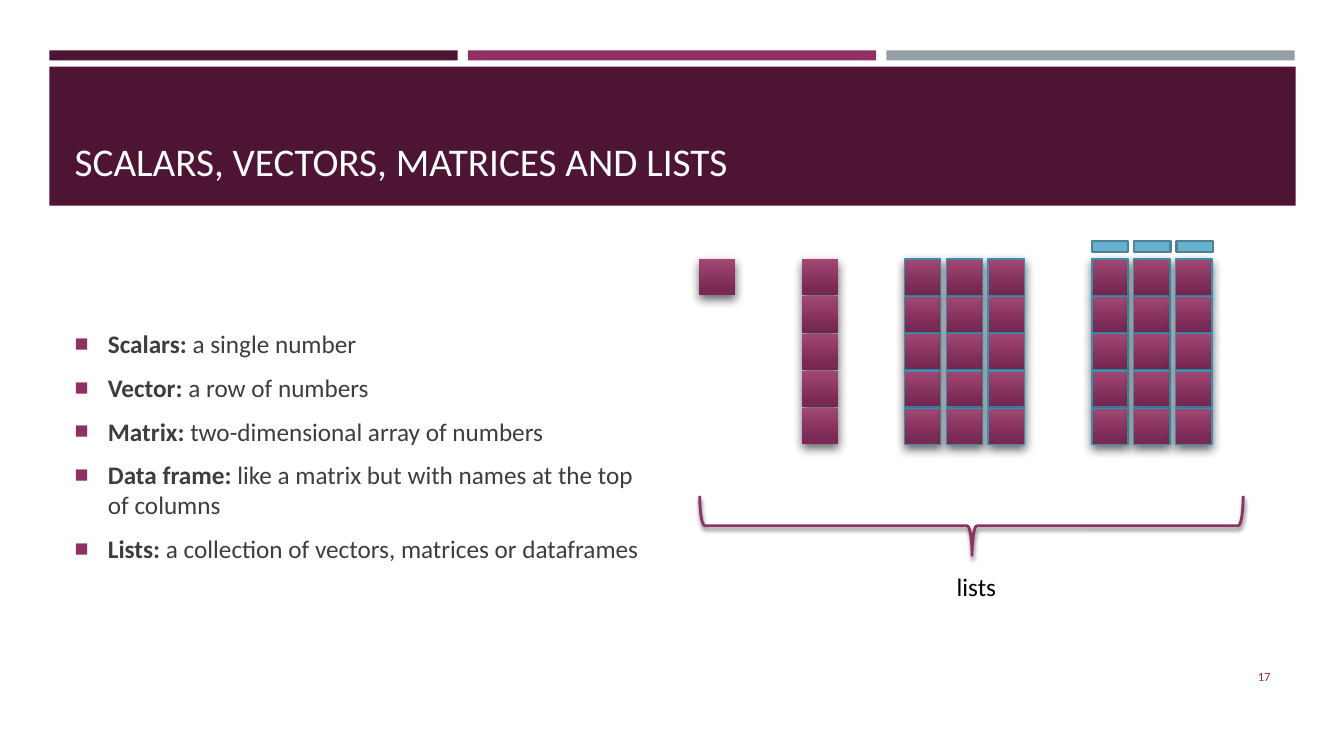
from lxml.etree import SubElement
from pptx import Presentation
from pptx.dml.color import RGBColor
from pptx.enum.shapes import MSO_SHAPE
from pptx.enum.text import MSO_ANCHOR, MSO_AUTO_SIZE, PP_ALIGN
from pptx.oxml.ns import qn
from pptx.util import Inches, Pt

PLUM, ROSE, GREY = "4D1434", "903163", "969FA7"
WHITE, BLACK, INK = "FFFFFF", "000000", "3D3D3D"
SKY, STEEL, TEAL = "66B1CE", "4B8398", "388EAF"
GLOW = ((0, "A24774"), (0.84, "792953"))


def tint(code):
    return RGBColor.from_string(code)


class Sheet:
    """Holds the style and the current slide."""

    font = "Calibri"

    def __init__(self, deck):
        self.slide = deck.slides.add_slide(deck.slide_layouts[1])
        self.shapes = self.slide.shapes

    def place(self, item, left, top, width, height):
        item.left, item.top = Inches(left), Inches(top)
        item.width, item.height = Inches(width), Inches(height)

    def shape(self, kind, box, line=None, weight=1.0):
        item = self.shapes.add_shape(kind, *map(Inches, box))
        item.shadow.inherit = False
        if line:
            item.line.color.rgb = tint(line)
            item.line.width = Pt(weight)
        else:
            item.line.fill.background()
        return item

    def bar(self, box, fill, line=None, weight=1.0):
        item = self.shape(MSO_SHAPE.RECTANGLE, box, line, weight)
        item.fill.solid()
        item.fill.fore_color.rgb = tint(fill)

    def shade(self, item, alpha, blur, dist, angle):
        effects = item.element.spPr.find(qn("a:effectLst"))
        outer = SubElement(effects, qn("a:outerShdw"), blurRad=str(Pt(blur)),
                           dist=str(Pt(dist)), dir=str(angle * 60000),
                           rotWithShape="0")
        color = SubElement(outer, qn("a:srgbClr"), val=BLACK)
        SubElement(color, qn("a:alpha"), val=str(alpha * 1000))

    def cell(self, left, top, line):
        item = self.shape(MSO_SHAPE.RECTANGLE, (left, top, 0.36, 0.36), line)
        item.fill.gradient()
        item.fill.gradient_angle = 270
        for stop, (spot, code) in zip(item.fill.gradient_stops, GLOW):
            stop.position = spot
            stop.color.rgb = tint(code)
        self.shade(item, 60, 7, 3, 84)

    def grid(self, left, cols, rows, line=None):
        for col in range(cols):
            for row in range(rows):
                self.cell(left + 0.415 * col, 2.57 + 0.37 * row, line)

    def brace(self, box):
        item = self.shape(MSO_SHAPE.RIGHT_BRACE, box, ROSE, 2)
        item.rotation = 90
        item.adjustments[0] = 0.083
        item.adjustments[1] = 0.499
        item.fill.background()
        self.shade(item, 55, 3, 2, 90)

    def run(self, para, text, size, color, bold=False):
        run = para.add_run()
        run.text = text
        font = run.font
        font.name, font.size, font.bold = self.font, Pt(size), bold
        font.color.rgb = tint(color)

    def holder(self, item, box, anchor):
        self.place(item, *box)
        self.shapes.element.append(item.element)  # bring to the front
        frame = item.text_frame
        frame.auto_size = MSO_AUTO_SIZE.NONE
        frame.vertical_anchor = anchor
        return frame

    def title(self, text, box):
        frame = self.holder(self.shapes.title, box, MSO_ANCHOR.BOTTOM)
        para = frame.paragraphs[0]
        para.alignment = PP_ALIGN.LEFT
        self.run(para, text, 28, WHITE)

    def bullet(self, para):
        para.space_before, para.space_after = Pt(3.6), Pt(6)
        props = para._p.get_or_add_pPr()
        props.set("marL", str(Inches(0.33)))
        props.set("indent", str(-Inches(0.33)))
        color = SubElement(props, qn("a:buClr"))
        SubElement(color, qn("a:srgbClr"), val=ROSE)
        SubElement(props, qn("a:buSzPct"), val="92000")
        SubElement(props, qn("a:buChar"), char="■")

    def list(self, terms, box):
        body = self.slide.placeholders[1]
        frame = self.holder(body, box, MSO_ANCHOR.MIDDLE)
        for index, (term, sense) in enumerate(terms):
            para = frame.add_paragraph() if index else frame.paragraphs[0]
            self.bullet(para)
            self.run(para, term, 18, INK, True)
            self.run(para, sense, 18, INK)

    def label(self, text, box, size, color, align=PP_ALIGN.LEFT,
              anchor=MSO_ANCHOR.TOP, wrap=True):
        frame = self.shapes.add_textbox(*map(Inches, box)).text_frame
        frame.word_wrap = wrap
        frame.vertical_anchor = anchor
        para = frame.paragraphs[0]
        para.alignment = align
        self.run(para, text, size, color)


def main():
    deck = Presentation()
    deck.slide_width, deck.slide_height = Inches(13.33), Inches(7.5)
    sheet = Sheet(deck)

    # Top bars and title band
    for index, color in enumerate((PLUM, ROSE, GREY)):
        sheet.bar((0.49 + 4.15 * index, 0.5, 4.05, 0.1), color)
    sheet.bar((0.49, 0.66, 12.36, 1.38), PLUM)
    sheet.title("SCALARS, VECTORS, MATRICES AND LISTS",
                (0.64, 0.8, 12.06, 1.08))

    # Terms and page number
    sheet.list((
        ("Scalars: ", "a single number"),
        ("Vector: ", "a row of numbers"),
        ("Matrix: ", "two-dimensional array of numbers"),
        ("Data frame: ",
         "like a matrix but with names at the top of columns"),
        ("Lists: ", "a collection of vectors, matrices or dataframes"),
    ), (0.64, 2.44, 5.93, 3.97))
    sheet.label("17", (11.55, 6.51, 1.15, 0.4), 9, ROSE,
                PP_ALIGN.RIGHT, MSO_ANCHOR.MIDDLE)

    # Scalar, vector, matrix and data frame
    sheet.grid(6.93, 1, 1)
    sheet.grid(7.95, 1, 5)
    sheet.grid(8.97, 3, 5, TEAL)
    sheet.grid(10.83, 3, 5, TEAL)
    for col in range(3):
        sheet.bar((10.83 + 0.42 * col, 2.39, 0.36, 0.11), SKY, STEEL, 1.75)

    # Brace that joins them into lists
    sheet.brace((9.34, 2.52, 0.59, 5.39))
    sheet.label("lists", (9.39, 5.62, 0.59, 0.4), 18, BLACK, wrap=False)

    deck.save("out.pptx")


if __name__ == "__main__":
    main()
